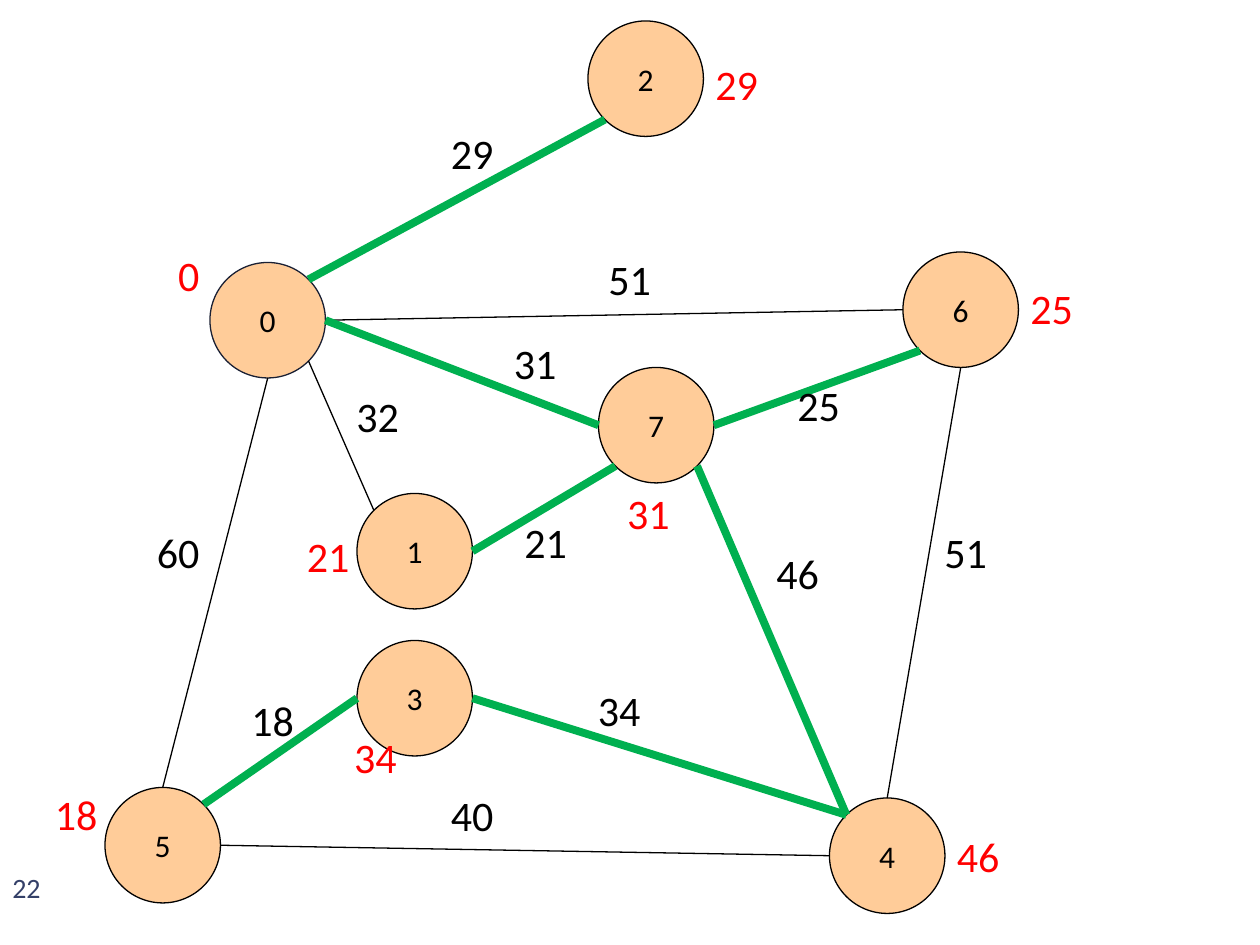
from math import cos, radians, sin

from pptx import Presentation
from pptx.dml.color import RGBColor
from pptx.enum.shapes import MSO_CONNECTOR as Connector, MSO_SHAPE as Shape
from pptx.enum.text import MSO_ANCHOR as Anchor, MSO_AUTO_SIZE as AutoSize, PP_ALIGN as Align
from pptx.oxml.ns import qn
from pptx.util import Inches, Pt
from lxml.etree import SubElement

UNITS_PER_INCH = 12  # 120 columns by 90 rows
NODE_SIZE = 11
LABEL_HEIGHT = 6
BLACK, RED, GREEN = "000000", "FF0000", "00B050"

# vertex: (column, row) of its top left corner
VERTICES = {
    "0": (20, 25), "4": (79, 76), "3": (34, 61), "5": (10, 75),
    "1": (34, 47), "7": (57, 35), "6": (86, 24), "2": (56, 2),
}
OUTLINES = {"0": "1A2034"}

# Side of a vertex where an edge ends: degrees clockwise from the right
SIDES = {"E": 0, "SE": 45, "S": 90, "SW": 135, "W": 180, "NW": 225, "N": 270, "NE": 315}

# from, side, to, side, in the spanning tree, weight, (column, row) of the weight's centre
EDGES = [
    ("0", "NE", "2", "SW", True, "29", (45, 14.6)),
    ("0", "E", "6", "W", False, "51", (60, 26.6)),
    ("0", "E", "7", "W", True, "31", (51, 34.6)),
    ("0", "SE", "1", "NW", False, "32", (36, 39.6)),
    ("0", "S", "5", "N", False, "60", (17, 52.6)),
    ("5", "NE", "3", "W", True, "18", (26, 68.6)),
    ("3", "E", "4", "NW", True, "34", (59, 67.6)),
    ("5", "E", "4", "W", False, "40", (45, 77.6)),
    ("1", "E", "7", "SW", True, "21", (52, 51.6)),
    ("7", "E", "6", "SW", True, "25", (78, 38.6)),
    ("7", "SE", "4", "NW", True, "46", (76, 54.6)),
    ("6", "S", "4", "N", False, "51", (92, 52.6)),
]

# cheapest known cost of each vertex, (column, row) of its centre
COSTS = [
    ("0", (18, 26.2)), ("29", (70.2, 8)), ("25", (100.2, 29.3)), ("46", (93.2, 81.5)),
    ("18", (7.3, 77.5)), ("21", (31.3, 52.9)), ("34", (35.8, 72.1)), ("31", (61.8, 48.8)),
]


def color(hex_string):
    return RGBColor.from_string(hex_string)


def grid(units):
    return Inches(units / UNITS_PER_INCH)


def apply(target, values):
    for name, value in values.items():
        setattr(target, name, value)


def rim_point(vertex, side):
    """Point on a vertex's circle, in grid units."""
    angle, radius = radians(SIDES[side]), NODE_SIZE / 2
    column, row = VERTICES[vertex]
    return column + radius * (1 + cos(angle)), row + radius * (1 + sin(angle))


class GraphSlide:
    font = "Calibri"
    node_fill = "FFCC99"

    def __init__(self, slide):
        self.shapes = slide.shapes

    def set_text(self, shape, text, size, ink, **frame_format):
        frame = shape.text_frame
        apply(frame, frame_format)
        paragraph = frame.paragraphs[0]
        run = paragraph.add_run()
        run.text = text
        apply(run.font, {"name": self.font, "size": Pt(size)})
        run.font.color.rgb = color(ink)
        return paragraph

    def node(self, name, column, row, outline=BLACK):
        circle = self.shapes.add_shape(
            Shape.OVAL, grid(column), grid(row), grid(NODE_SIZE), grid(NODE_SIZE))
        circle.shadow.inherit = False
        circle.fill.solid()
        circle.fill.fore_color.rgb = color(self.node_fill)
        circle.line.color.rgb = color(outline)
        circle.line.width = Pt(0.75)
        paragraph = self.set_text(circle, name, 18, BLACK,
                                  vertical_anchor=Anchor.MIDDLE, word_wrap=False)
        paragraph.alignment = Align.CENTER

    def edge(self, start, end, in_tree):
        line = self.shapes.add_connector(
            Connector.STRAIGHT, *(grid(unit) for unit in (*start, *end)))
        line.line.color.rgb = color(GREEN if in_tree else BLACK)
        line.line.width = Pt(4.5 if in_tree else 0.75)
        SubElement(line._element.spPr, qn("a:effectLst"))

    def label(self, number, center, ink=BLACK):
        column, row = center
        width = 2.4 + 2.04 * len(number)
        box = self.shapes.add_textbox(grid(column - width / 2), grid(row - LABEL_HEIGHT / 2),
                                      grid(width), grid(LABEL_HEIGHT))
        self.set_text(box, number, 24, ink, word_wrap=False,
                      auto_size=AutoSize.SHAPE_TO_FIT_TEXT)

    def page_number(self, number):
        box = self.shapes.add_textbox(grid(0), grid(82), grid(7), grid(5))
        self.set_text(box, number, 16, "344068", word_wrap=True, vertical_anchor=Anchor.MIDDLE)


def main():
    deck = Presentation()
    apply(deck, {"slide_width": Inches(10), "slide_height": Inches(7.5)})
    blank_layout = deck.slide_layouts[6]
    graph = GraphSlide(deck.slides.add_slide(blank_layout))

    graph.page_number("22")
    for name, corner in VERTICES.items():
        graph.node(name, *corner, OUTLINES.get(name, BLACK))
    for start, start_side, end, end_side, in_tree, _, _ in EDGES:
        graph.edge(rim_point(start, start_side), rim_point(end, end_side), in_tree)
    for *_, weight, center in EDGES:
        graph.label(weight, center)
    for cost, center in COSTS:
        graph.label(cost, center, RED)

    deck.save("out.pptx")


if __name__ == "__main__":
    main()
